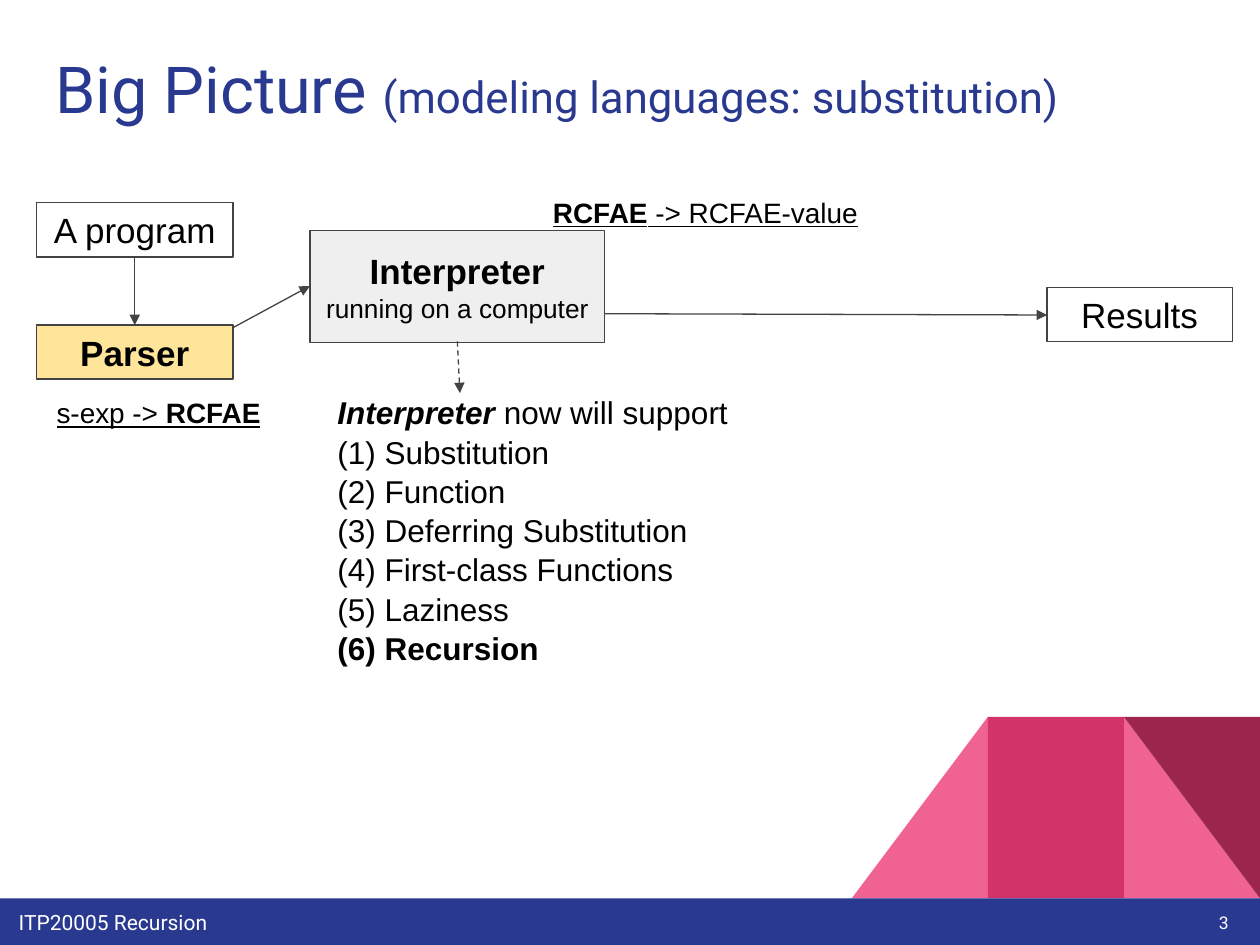
from dataclasses import dataclass

from lxml.etree import SubElement
from pptx import Presentation
from pptx.dml.color import RGBColor
from pptx.enum.dml import MSO_LINE
from pptx.enum.shapes import MSO_CONNECTOR, MSO_SHAPE
from pptx.enum.text import MSO_ANCHOR, PP_ALIGN
from pptx.oxml.ns import qn
from pptx.util import Inches, Pt


@dataclass(frozen=True)
class Theme:
    navy: str = "2A3990"
    pink: str = "F06292"
    rose: str = "D23369"
    wine: str = "9C254D"
    gray: str = "EFEFEF"
    yellow: str = "FFE599"
    white: str = "FFFFFF"
    line: str = "434343"
    text: str = "000000"
    heading_font: str = "Roboto"
    body_font: str = "Arial"
    title: int = 37
    subtitle: int = 25
    box: int = 20
    note: int = 18
    label: int = 16
    caption: int = 15
    footer: int = 12
    number: int = 10


T = Theme()


def rgb(color):
    return RGBColor.from_string(color)


def inches(*values):
    return [Inches(v) for v in values]


def write(tf, paragraphs, size, color=T.text, font=T.body_font,
          align=PP_ALIGN.LEFT, anchor=MSO_ANCHOR.TOP, spacing=1.04):
    tf.word_wrap = True
    tf.vertical_anchor = anchor
    tf.margin_left = tf.margin_right = tf.margin_top = tf.margin_bottom = Inches(0.1)
    for i, runs in enumerate(paragraphs):
        p = tf.add_paragraph() if i else tf.paragraphs[0]
        p.alignment = align
        p.line_spacing = spacing
        for text, style in runs:
            r = p.add_run()
            r.text = text
            r.font.name = font
            r.font.color.rgb = rgb(color)
            r.font.size = Pt(style.get("size", size))
            r.font.bold = "b" in style.get("marks", "")
            r.font.italic = "i" in style.get("marks", "")
            r.font.underline = "u" in style.get("marks", "")


def add_text(s, at, paragraphs, size, **options):
    sp = s.shapes.add_textbox(*inches(*at))
    write(sp.text_frame, paragraphs, size, **options)


def add_block(s, kind, at, fill=None, line=None):
    sp = s.shapes.add_shape(kind, *inches(*at))
    sp.shadow.inherit = False
    if fill:
        sp.fill.solid()
        sp.fill.fore_color.rgb = rgb(fill)
    else:
        sp.fill.background()
    if line:
        sp.line.color.rgb = rgb(line)
        sp.line.width = Pt(0.75)
    else:
        sp.line.fill.background()
    return sp


def add_box(s, at, runs, fill=None):
    sp = add_block(s, MSO_SHAPE.RECTANGLE, at, fill, T.line)
    write(sp.text_frame, [runs], T.box, align=PP_ALIGN.CENTER,
          anchor=MSO_ANCHOR.MIDDLE, spacing=1.0)


def add_arrow(s, start, end, dashed=False):
    c = s.shapes.add_connector(MSO_CONNECTOR.STRAIGHT, *inches(*start, *end))
    c.line.color.rgb = rgb(T.line)
    c.line.width = Pt(0.75)
    if dashed:
        c.line.dash_style = MSO_LINE.DASH
    SubElement(c.line._get_or_add_ln(), qn("a:tailEnd"), type="triangle")
    SubElement(c._element.spPr, qn("a:effectLst"))


def add_decoration(s):
    left, top, width, height = 6.76, 5.69, 1.08, 1.44
    first, middle, last = [(left + i * width, top, width, height) for i in range(3)]
    add_block(s, MSO_SHAPE.RIGHT_TRIANGLE, last, T.pink)
    sp = add_block(s, MSO_SHAPE.RIGHT_TRIANGLE, first, T.pink)
    sp._element.spPr.xfrm.set("flipH", "1")
    add_block(s, MSO_SHAPE.RECTANGLE, middle, T.rose)
    add_block(s, MSO_SHAPE.RIGHT_TRIANGLE, last, T.wine).rotation = 180
    add_block(s, MSO_SHAPE.RECTANGLE, (0, 7.13, 10, 0.37), T.navy)


def add_footer(s):
    look = {"color": T.white, "font": T.heading_font}
    add_text(s, (0.05, 7.11, 7.35, 0.36), [[("ITP20005 Recursion", {})]], T.footer, **look)
    add_text(s, (9.25, 7.03, 0.6, 0.57), [[("3", {})]], T.number,
             align=PP_ALIGN.RIGHT, anchor=MSO_ANCHOR.MIDDLE, **look)


def set_title(s):
    sp = s.shapes.title
    sp.left, sp.top, sp.width, sp.height = inches(0.34, 0.26, 9.32, 0.89)
    runs = [("Big Picture ", {}),
            ("(modeling languages: substitution)", {"size": T.subtitle})]
    write(sp.text_frame, [runs], T.title, color=T.navy, font=T.heading_font)


def add_flow(s):
    bold = {"marks": "b"}
    add_box(s, (2.46, 1.83, 2.34, 0.89),
            [("Interpreter ", bold), ("running on a computer", {"size": T.caption})], T.gray)
    add_box(s, (0.29, 1.61, 1.56, 0.43), [("A program", {})])
    add_box(s, (0.29, 2.58, 1.56, 0.43), [("Parser", bold)], T.yellow)
    add_box(s, (8.31, 2.28, 1.47, 0.43), [("Results", {})])
    add_arrow(s, (1.07, 2.05), (1.07, 2.58))
    add_arrow(s, (1.85, 2.6), (2.46, 2.27))
    add_arrow(s, (4.8, 2.49), (8.31, 2.5))
    add_arrow(s, (3.63, 2.71), (3.65, 3.12), dashed=True)


def add_notes_on_flow(s):
    under, strong = {"marks": "u"}, {"marks": "bu"}
    add_text(s, (0.35, 3.03, 2.11, 0.4),
             [[("s-exp -> ", under), ("RCFAE", strong)]], T.label)
    add_text(s, (4.29, 1.44, 2.85, 0.33),
             [[("RCFAE", strong), (" -> RCFAE-value", under)]], T.label)
    features = ["Substitution", "Function", "Deferring Substitution",
                "First-class Functions", "Laziness", "Recursion"]
    lines = [[("Interpreter ", {"marks": "bi"}), ("now will support", {})]]
    for n, feature in enumerate(features, 1):
        style = {"marks": "b"} if n == len(features) else {}
        lines.append([(f"({n}) {feature}", style)])
    add_text(s, (2.58, 3.01, 4.45, 3.16), lines, T.note)


def main():
    prs = Presentation()
    prs.slide_width, prs.slide_height = inches(10, 7.5)
    s = prs.slides.add_slide(prs.slide_layouts[5])
    add_decoration(s)
    add_footer(s)
    set_title(s)
    add_flow(s)
    add_notes_on_flow(s)
    prs.save("out.pptx")


if __name__ == "__main__":
    main()
